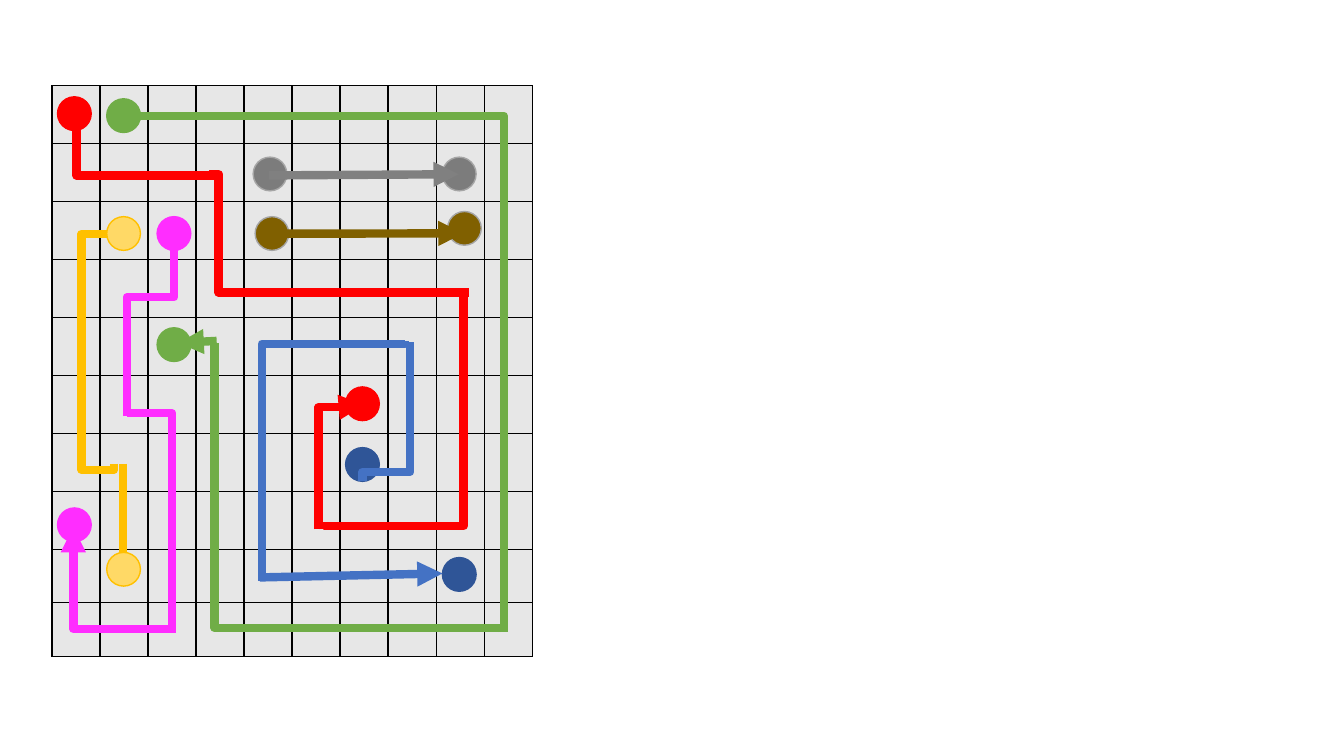
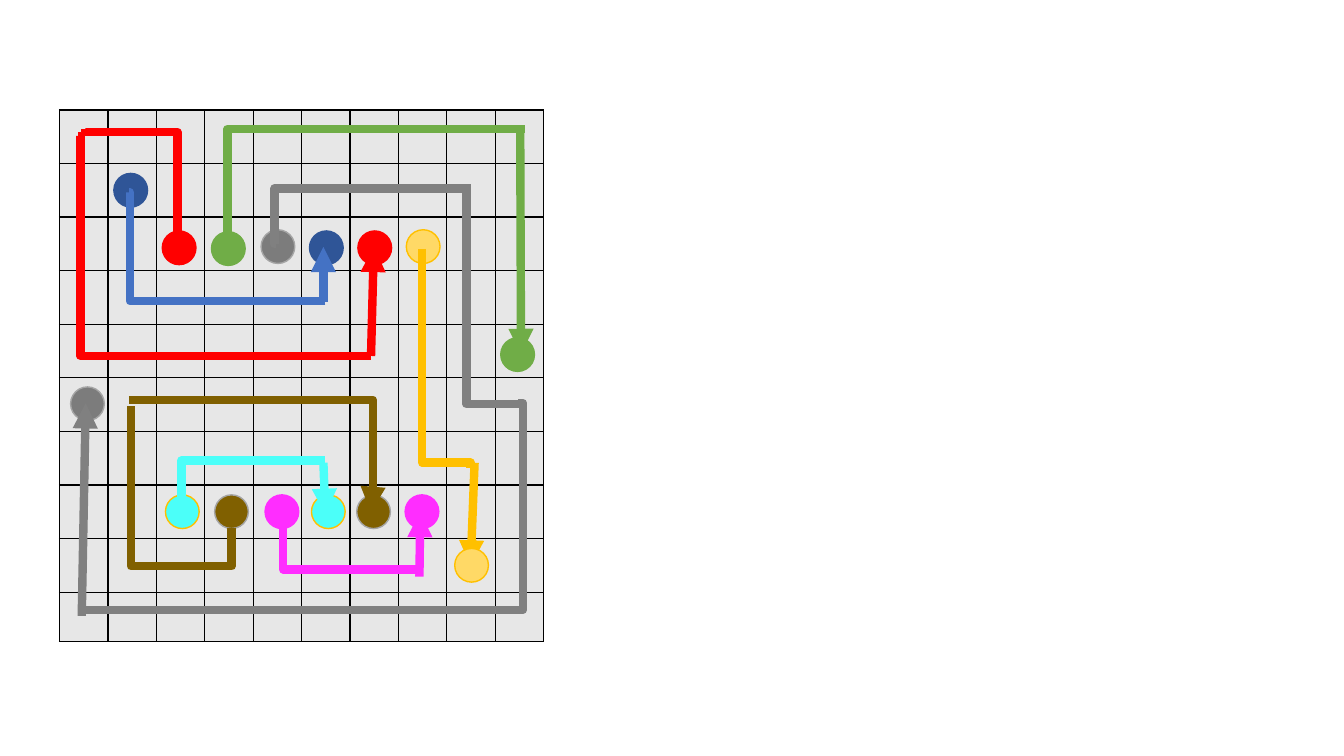
from dataclasses import dataclass

from lxml.etree import SubElement
from pptx import Presentation
from pptx.dml.color import RGBColor
from pptx.enum.shapes import MSO_CONNECTOR as Connector, MSO_SHAPE as Shape
from pptx.oxml.ns import qn
from pptx.util import Cm, Pt


@dataclass(frozen=True)
class Ink:
    fill: str
    outline: str
    path_line: str


@dataclass(frozen=True)
class Theme:
    cell: str = "E7E7E7"
    border: str = "000000"
    border_width: float = 1
    route_width: float = 6
    disc_size: float = 0.85
    gray: Ink = Ink("7C7C7C", "A5A5A5", "808080")
    blue: Ink = Ink("2F5597", "2F5597", "4472C4")
    green: Ink = Ink("70AD47", "70AD47", "70AD47")
    red: Ink = Ink("FF0000", "FF0000", "FF0000")
    yellow: Ink = Ink("FFD966", "FFC000", "FFC000")
    pink: Ink = Ink("FF2DFF", "FF2DFF", "FF2DFF")
    brown: Ink = Ink("806000", "A5A5A5", "806000")
    cyan: Ink = Ink("4BFFF9", "FFC000", "4BFFF9")


THEME = Theme()


@dataclass(frozen=True)
class Route:
    ink: Ink
    start: tuple
    end: tuple
    axis: str = ""
    bends: tuple = ()
    arrow: bool = False


def straight(ink, start, end):
    return Route(ink, start, end, arrow=True)


def across(ink, start, end, *bends, arrow=False):
    return Route(ink, start, end, "x", bends, arrow)


def upright(ink, start, end, *bends, arrow=False):
    return Route(ink, start, end, "y", bends, arrow)


def style_line(line, colour, width):
    line.color.rgb = RGBColor.from_string(colour)
    line.width = Pt(width)


def add_border(cell):
    properties = cell._tc.get_or_add_tcPr()
    for index, side in enumerate(("lnL", "lnR", "lnT", "lnB")):
        border = properties.makeelement(qn(f"a:{side}"), {"w": str(Pt(THEME.border_width))})
        fill = SubElement(border, qn("a:solidFill"))
        SubElement(fill, qn("a:srgbClr"), val=THEME.border)
        properties.insert(index, border)


def add_board(slide, left, top, column_width, row_heights):
    size = len(row_heights)
    frame = slide.shapes.add_table(size, size, Cm(left), Cm(top),
                                   Cm(column_width * size), Cm(sum(row_heights)))
    table = frame.table
    for name, value in {"first_row": False, "horz_banding": False}.items():
        setattr(table, name, value)
    for column in table.columns:
        column.width = Cm(column_width)
    for row, height in zip(table.rows, row_heights):
        row.height = Cm(height)
    for cell in table.iter_cells():
        cell.fill.solid()
        cell.fill.fore_color.rgb = RGBColor.from_string(THEME.cell)
        add_border(cell)


def add_disc(slide, ink, left, top):
    disc = slide.shapes.add_shape(Shape.OVAL, Cm(left), Cm(top),
                                  Cm(THEME.disc_size), Cm(THEME.disc_size))
    disc.shadow.inherit = False
    disc.fill.solid()
    disc.fill.fore_color.rgb = RGBColor.from_string(ink.fill)
    style_line(disc.line, ink.outline, THEME.border_width)


def connector_ends(route):
    (x1, y1), (x2, y2) = route.start, route.end
    if route.axis != "y":
        return x1, y1, x2, y2
    middle_x, middle_y = (x1 + x2) / 2, (y1 + y2) / 2
    half_x, half_y = (x2 - x1) / 2, (y2 - y1) / 2
    return middle_x - half_y, middle_y + half_x, middle_x + half_y, middle_y - half_x


def bend_connector(connector, route):
    properties = connector._element.spPr
    if route.axis == "y":
        properties.find(qn("a:xfrm")).set("rot", "5400000")
    geometry = properties.find(qn("a:prstGeom"))
    geometry.set("prst", f"bentConnector{len(route.bends) + 2}")
    guides = geometry.find(qn("a:avLst"))
    if guides is None:
        guides = SubElement(geometry, qn("a:avLst"))
    first = "xy".index(route.axis)
    for index, bend in enumerate(route.bends):
        side = (first + index) % 2
        share = (bend - route.start[side]) / (route.end[side] - route.start[side])
        name = f"adj{index + 1}"
        SubElement(guides, qn("a:gd"), name=name, fmla=f"val {round(share * 100000)}")


def add_route(slide, route):
    kind = Connector.ELBOW if route.axis else Connector.STRAIGHT
    connector = slide.shapes.add_connector(kind, *map(Cm, connector_ends(route)))
    if route.axis:
        bend_connector(connector, route)
    style_line(connector.line, route.ink.path_line, THEME.route_width)
    if route.arrow:
        SubElement(connector.line._get_or_add_ln(), qn("a:tailEnd"), type="triangle")
    SubElement(connector._element.spPr, qn("a:effectLst"))


def add_puzzle(presentation, board, covered_route, disc_pairs, routes):
    slide = presentation.slides.add_slide(presentation.slide_layouts[6])
    add_board(slide, *board)
    add_route(slide, covered_route)
    for ink, corners in disc_pairs:
        for corner in corners:
            add_disc(slide, ink, *corner)
    for route in routes:
        add_route(slide, route)


def add_spiral_puzzle(presentation):
    t = THEME
    discs = [
        (t.gray, [(11.15, 3.96), (6.38, 3.96)]),
        (t.blue, [(8.71, 11.28), (11.15, 14.05)]),
        (t.green, [(2.69, 2.49), (3.96, 8.26)]),
        (t.red, [(1.45, 2.44), (8.71, 9.75)]),
        (t.yellow, [(2.69, 13.92), (2.69, 5.46)]),
        (t.pink, [(3.96, 5.46), (1.45, 12.8)]),
        (t.brown, [(6.43, 5.46), (11.28, 5.33)]),
    ]
    routes = [
        upright(t.green, (12.7, 15.93), (3.53, 2.92)),
        upright(t.blue, (6.6, 14.63), (10.21, 8.59), 8.66),
        upright(t.red, (8.03, 13.34), (9.17, 10.21), 10.26, arrow=True),
        straight(t.blue, (6.55, 14.55), (11.15, 14.45)),
        across(t.red, (5.46, 4.42), (1.85, 2.95), 1.93),
        straight(t.brown, (6.78, 5.89), (11.68, 5.88)),
        straight(t.green, (5.46, 8.59), (4.5, 8.64)),
        upright(t.pink, (4.34, 15.77), (1.85, 13.28), 15.85, arrow=True),
        straight(t.gray, (6.78, 4.42), (11.56, 4.39)),
        upright(t.yellow, (2.87, 11.68), (2.69, 5.89), 11.84, 2.06),
        across(t.red, (11.81, 7.37), (5.28, 4.39), 5.51),
        upright(t.pink, (3.2, 10.49), (4.39, 6.3), 7.49),
        upright(t.green, (12.65, 15.93), (5.41, 8.64), 15.82),
        upright(t.pink, (4.34, 15.95), (3.2, 10.41), 10.41),
        upright(t.red, (8.15, 13.34), (11.68, 7.42), 13.26),
        upright(t.blue, (9.14, 12.12), (10.34, 8.61), 11.89),
    ]
    add_puzzle(presentation, (1.31, 2.16, 1.21, [1.46] * 8 + [1.35] * 2),
               straight(t.yellow, (3.1, 11.68), (3.1, 14.76)), discs, routes)


def add_nested_puzzle(presentation):
    t = THEME
    discs = [
        (t.gray, [(1.78, 9.75), (6.58, 5.79)]),
        (t.blue, [(2.87, 4.37), (7.8, 5.82)]),
        (t.green, [(5.33, 5.84), (12.62, 8.51)]),
        (t.red, [(9.02, 5.82), (4.09, 5.82)]),
        (t.yellow, [(11.46, 13.82), (10.24, 5.79)]),
        (t.pink, [(6.68, 12.47), (10.21, 12.47)]),
        (t.brown, [(5.41, 12.47), (8.99, 12.47)]),
        (t.cyan, [(7.85, 12.47), (4.17, 12.47)]),
    ]
    routes = [
        across(t.green, (13.23, 3.25), (5.84, 6.25), 5.74),
        across(t.red, (9.35, 8.97), (1.98, 3.43), 2.03),
        upright(t.red, (2.16, 3.25), (4.47, 6.07), 3.33),
        straight(t.green, (13.11, 3.23), (13.13, 8.92)),
        straight(t.red, (9.35, 8.97), (9.42, 6.22)),
        across(t.blue, (8.2, 7.59), (3.25, 4.85), 3.28),
        straight(t.blue, (8.15, 7.62), (8.15, 6.22)),
        across(t.gray, (6.93, 6.15), (11.86, 4.75), 6.92),
        upright(t.gray, (11.76, 4.67), (13.11, 10.16), 10.19),
        across(t.gray, (13.06, 10.16), (2.06, 15.37), 13.18),
        straight(t.gray, (2.06, 15.52), (2.16, 10.16)),
        upright(t.yellow, (10.64, 6.27), (11.86, 11.79), 11.66),
        upright(t.brown, (3.3, 10.24), (5.84, 13.31), 14.27),
        across(t.brown, (3.25, 10.08), (9.35, 12.9), 9.4, arrow=True),
        across(t.cyan, (4.62, 12.88), (8.18, 11.61), 4.57),
        straight(t.cyan, (8.15, 11.66), (8.2, 12.95)),
        across(t.pink, (7.19, 12.95), (10.62, 14.35), 7.14),
        straight(t.pink, (10.57, 14.53), (10.59, 12.9)),
    ]
    add_puzzle(presentation, (1.5, 2.77, 1.22, [1.35] * 9 + [1.24]),
               straight(t.yellow, (11.96, 11.66), (11.86, 14.25)), discs, routes)


def main():
    presentation = Presentation()
    for name, value in {"slide_width": 33.87, "slide_height": 19.05}.items():
        setattr(presentation, name, Cm(value))
    add_spiral_puzzle(presentation)
    add_nested_puzzle(presentation)
    presentation.save("out.pptx")


main()
